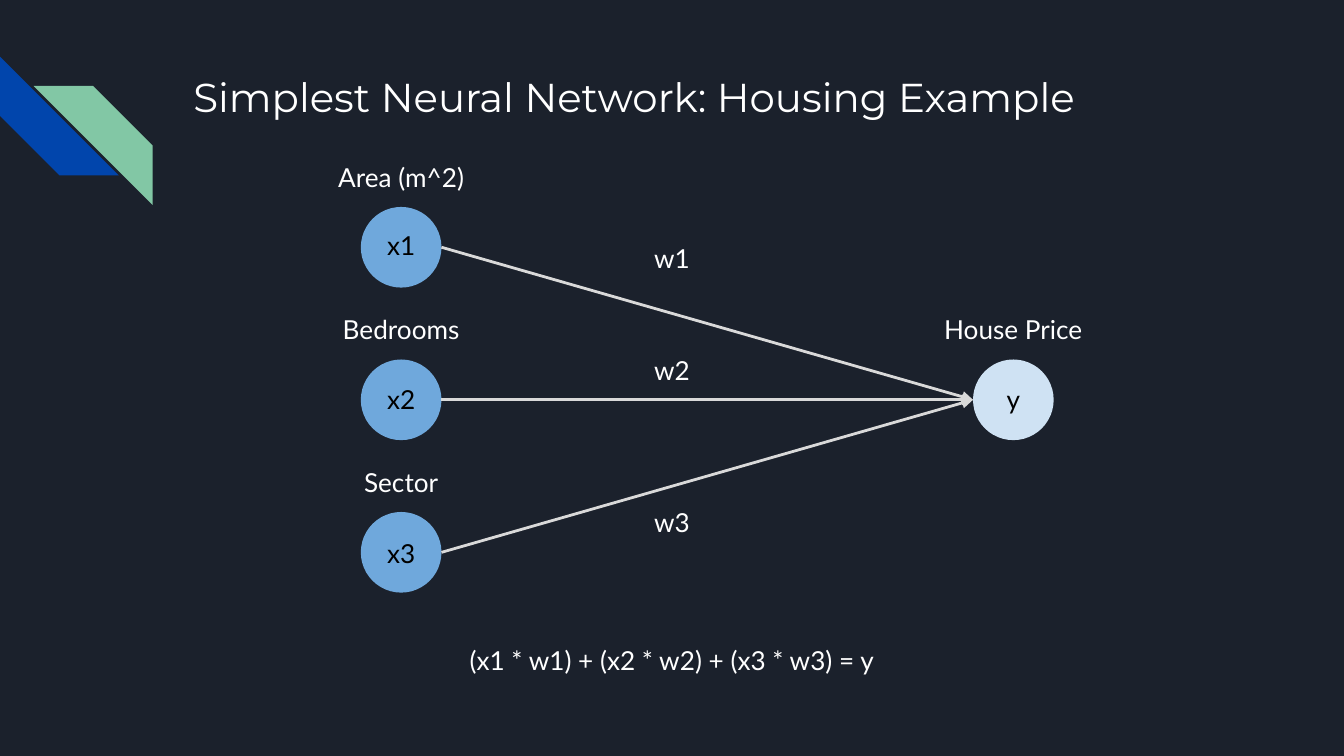
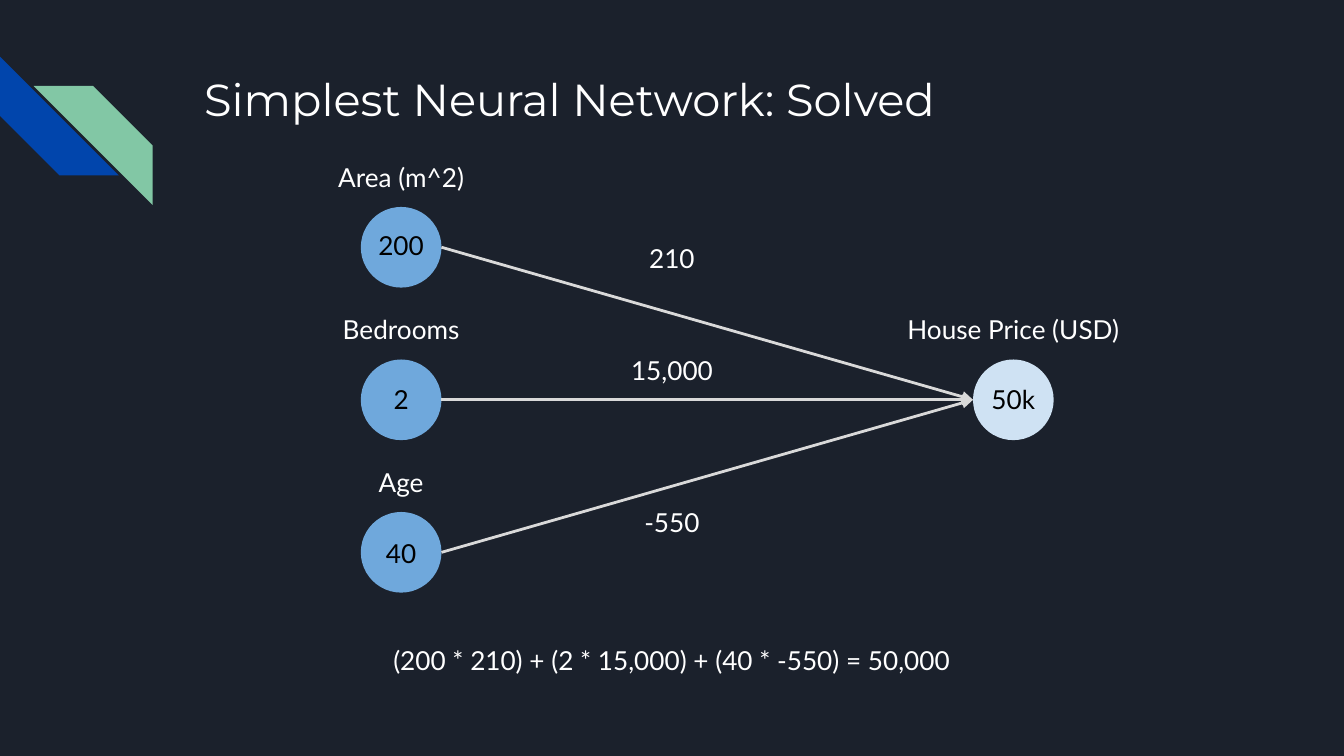
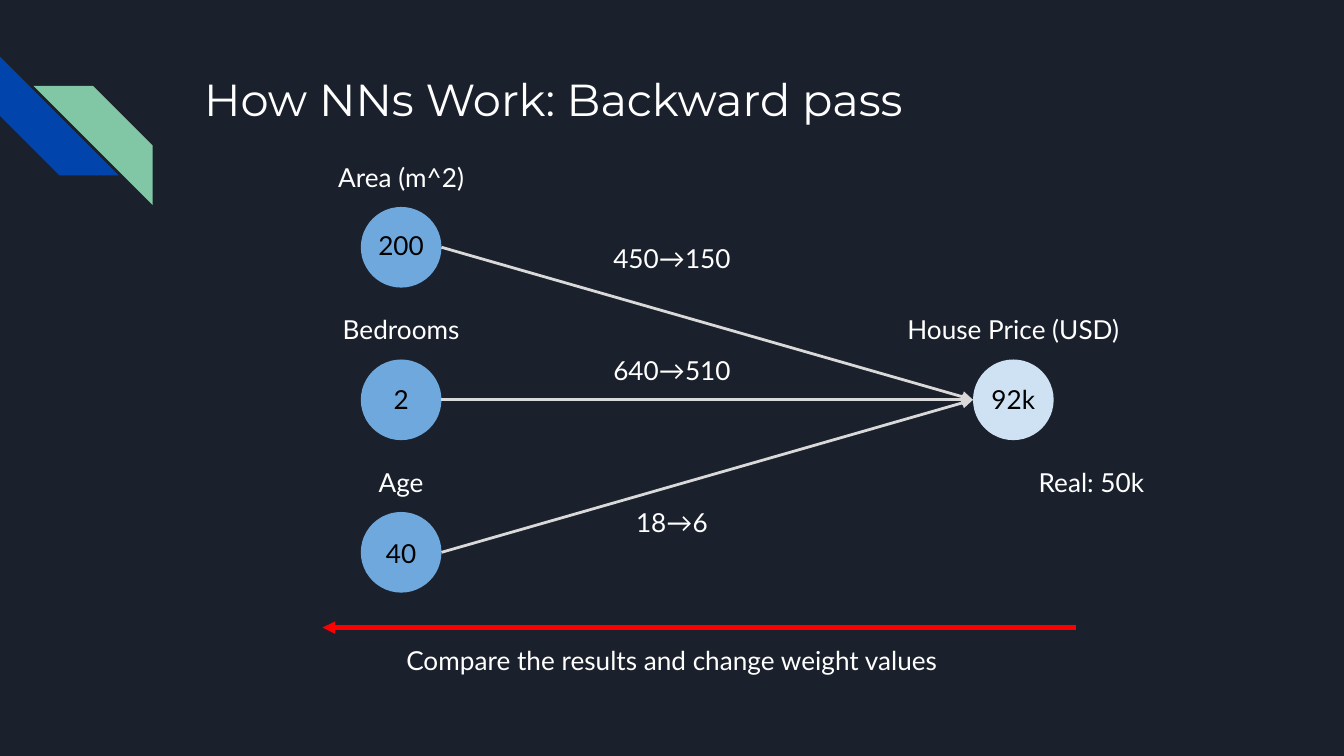
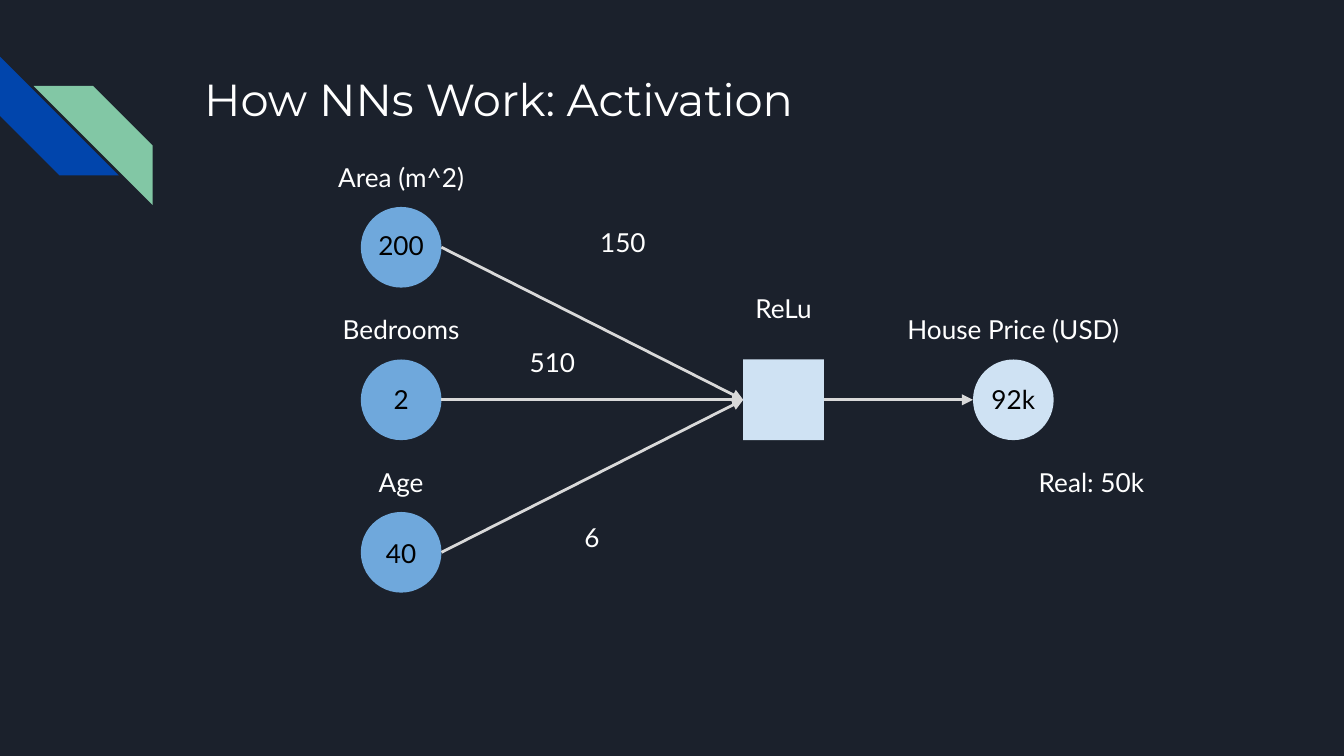
"""Builds four slides that explain a simple neural network for house prices."""
from lxml import etree
from pptx import Presentation
from pptx.dml.color import RGBColor
from pptx.enum.shapes import MSO_CONNECTOR, MSO_SHAPE
from pptx.enum.text import MSO_ANCHOR, MSO_AUTO_SIZE, PP_ALIGN
from pptx.oxml.ns import qn
from pptx.util import Emu, Pt

ELLIPSE = MSO_SHAPE.OVAL
SQUARE = MSO_SHAPE.RECTANGLE
STRIPE = MSO_SHAPE.DIAGONAL_STRIPE
STRAIGHT = MSO_CONNECTOR.STRAIGHT
TOP = MSO_ANCHOR.TOP
GROW = MSO_AUTO_SIZE.SHAPE_TO_FIT_TEXT
FIXED = MSO_AUTO_SIZE.NONE
LEFT, CENTER = PP_ALIGN.LEFT, PP_ALIGN.CENTER

EMU_PER_PX = 4572
NAVY, BLUE, GREEN = "1B212C", "0145AC", "82C7A5"
INPUT_BLUE, OUTPUT_BLUE = "6FA8DC", "CFE2F3"
WHITE, BLACK, GREY, RED = "FFFFFF", "000000", "D9D9D9", "FF0000"
TITLE_FONT, BODY_FONT = "Montserrat", "Lato"

NODE = 120
LABEL_HEIGHT = 88
INSET = 20
INPUT_LEFT, OUTPUT_LEFT, RELU_LEFT = 537, 1448, 1106
NODE_TOPS = [308 + 227 * row for row in range(3)]
VALUE_TOPS = [322 + 229 * row for row in range(3)]
MIDDLE_TOP = NODE_TOPS[1]
MIDDLE = MIDDLE_TOP + NODE // 2
WEIGHT_TOPS = [341, 507, 734]


def px(length):
    return Emu(length * EMU_PER_PX)


def color(value):
    return RGBColor.from_string(value)


class SlideBuilder:
    """Holds the deck style and draws elements on the current slide."""

    def __init__(self):
        self.deck = Presentation()
        self.deck.slide_width, self.deck.slide_height = px(2000), px(1125)
        self.page = None

    def new_page(self, title, left=284, size=24):
        self.page = self.deck.slides.add_slide(self.deck.slide_layouts[6])
        background = self.page.background.fill
        background.solid()
        background.fore_color.rgb = color(NAVY)
        self.shape(STRIPE, 0, 84, 177, BLUE, rotation=270)
        self.shape(STRIPE, 50, 128, 177, GREEN, rotation=90)
        self.text(title, left, 87, 1464, height=120, size=size, font=TITLE_FONT,
                  align=LEFT, auto_size=FIXED)

    def shape(self, kind, left, top, side, fill, rotation=0):
        shape = self.page.shapes.add_shape(kind, px(left), px(top), px(side), px(side))
        shape.shadow.inherit = False
        shape.fill.solid()
        shape.fill.fore_color.rgb = color(fill)
        shape.line.fill.background()
        shape.rotation = rotation

    def text(self, text, left, top, width, height=LABEL_HEIGHT, size=14,
             font=BODY_FONT, fill=WHITE, align=CENTER, auto_size=GROW):
        box = self.page.shapes.add_textbox(px(left), px(top), px(width), px(height))
        frame = box.text_frame
        frame.word_wrap = True
        frame.auto_size = auto_size
        frame.vertical_anchor = TOP
        frame.margin_left = frame.margin_right = px(INSET)
        frame.margin_top = frame.margin_bottom = px(INSET)
        para = frame.paragraphs[0]
        para.text = text
        para.alignment = align
        span = para.runs[0].font
        span.name, span.size = font, Pt(size)
        span.color.rgb = color(fill)

    def centered_text(self, text, center, top, width):
        self.text(text, center - width // 2, top, width)

    def arrow(self, start, end, line_color=GREY, weight=1.5):
        points = [px(length) for length in (*start, *end)]
        connector = self.page.shapes.add_connector(STRAIGHT, *points)
        connector.line.color.rgb = color(line_color)
        connector.line.width = Pt(weight)
        properties = connector.element.spPr
        etree.SubElement(properties.find(qn("a:ln")), qn("a:tailEnd"), type="triangle")
        etree.SubElement(properties, qn("a:effectLst"))

    def network(self, labels, values, output, result, target=OUTPUT_LEFT, output_width=370):
        for top in NODE_TOPS:
            self.shape(ELLIPSE, INPUT_LEFT, top, NODE, INPUT_BLUE)
        self.shape(ELLIPSE, OUTPUT_LEFT, MIDDLE_TOP, NODE, OUTPUT_BLUE)
        for top in NODE_TOPS:
            self.arrow((INPUT_LEFT + NODE, top + NODE // 2), (target, MIDDLE))
        for label, value, top, value_top in zip(labels, values, NODE_TOPS, VALUE_TOPS):
            self.centered_text(label, INPUT_LEFT + NODE // 2, top - LABEL_HEIGHT, 332)
            self.text(value, INPUT_LEFT, value_top, NODE, fill=BLACK)
        self.centered_text(output, OUTPUT_LEFT + NODE // 2, MIDDLE_TOP - LABEL_HEIGHT,
                           output_width)
        self.text(result, OUTPUT_LEFT, VALUE_TOPS[1], NODE, fill=BLACK)

    def weights(self, weights, widths, centers=(1000, 1000, 1000), tops=WEIGHT_TOPS):
        for weight, width, center, top in zip(weights, widths, centers, tops):
            self.centered_text(weight, center, top, width)

    def caption(self, text):
        self.centered_text(text, 1000, 939, 878)

    def real_price(self):
        self.text("Real: 50k", 1526, 674, 242, align=LEFT)


def main():
    builder = SlideBuilder()
    labels = ["Area (m^2)", "Bedrooms", "Age"]
    values = ["200", "2", "40"]
    price = "House Price (USD)"

    builder.new_page("Simplest Neural Network: Housing Example", left=268, size=21.6)
    builder.network(["Area (m^2)", "Bedrooms", "Sector"], ["x1", "x2", "x3"],
                    "House Price", "y", output_width=332)
    builder.weights(["w1", "w2", "w3"], [120, 120, 120])
    builder.caption("(x1 * w1) + (x2 * w2) + (x3 * w3) = y")

    builder.new_page("Simplest Neural Network: Solved")
    builder.network(labels, values, price, "50k")
    builder.weights(["210", "15,000", "-550"], [120, 184, 226])
    builder.caption("(200 * 210) + (2 * 15,000) + (40 * -550) = 50,000")

    builder.new_page("How NNs Work: Backward pass")
    builder.network(labels, values, price, "92k")
    builder.weights(["450→150", "640→510", "18→6"], [330, 330, 226])
    builder.caption("Compare the results and change weight values")
    builder.real_price()
    builder.arrow((1601, 934), (480, 934), RED, 2.25)

    builder.new_page("How NNs Work: Activation")
    builder.network(labels, values, price, "92k", target=RELU_LEFT)
    builder.weights(["150", "510", "6"], [330, 330, 226], (927, 822, 881), (317, 496, 756))
    builder.real_price()
    builder.shape(SQUARE, RELU_LEFT, MIDDLE_TOP, NODE, OUTPUT_BLUE)
    builder.centered_text("ReLu", RELU_LEFT + NODE // 2, 415, 176)
    builder.arrow((RELU_LEFT + NODE, MIDDLE), (OUTPUT_LEFT, MIDDLE))

    builder.deck.save("out.pptx")


if __name__ == "__main__":
    main()
